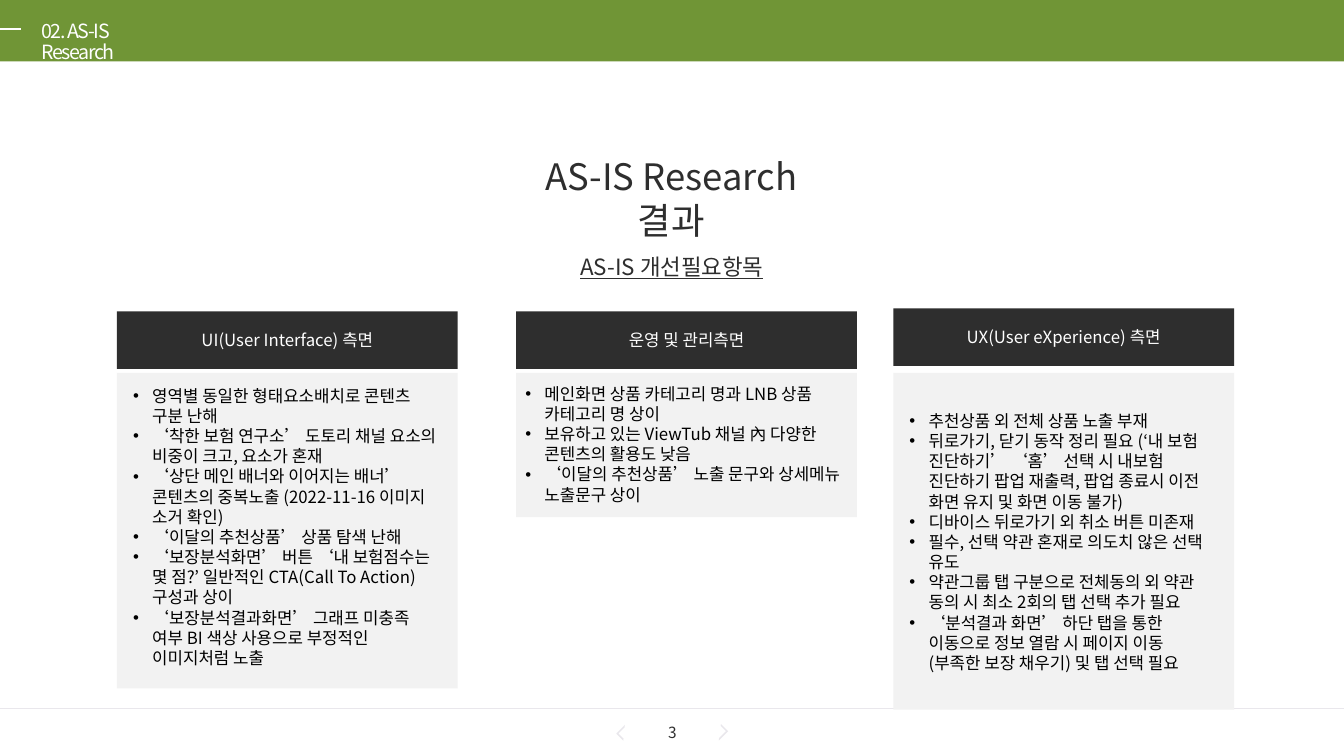
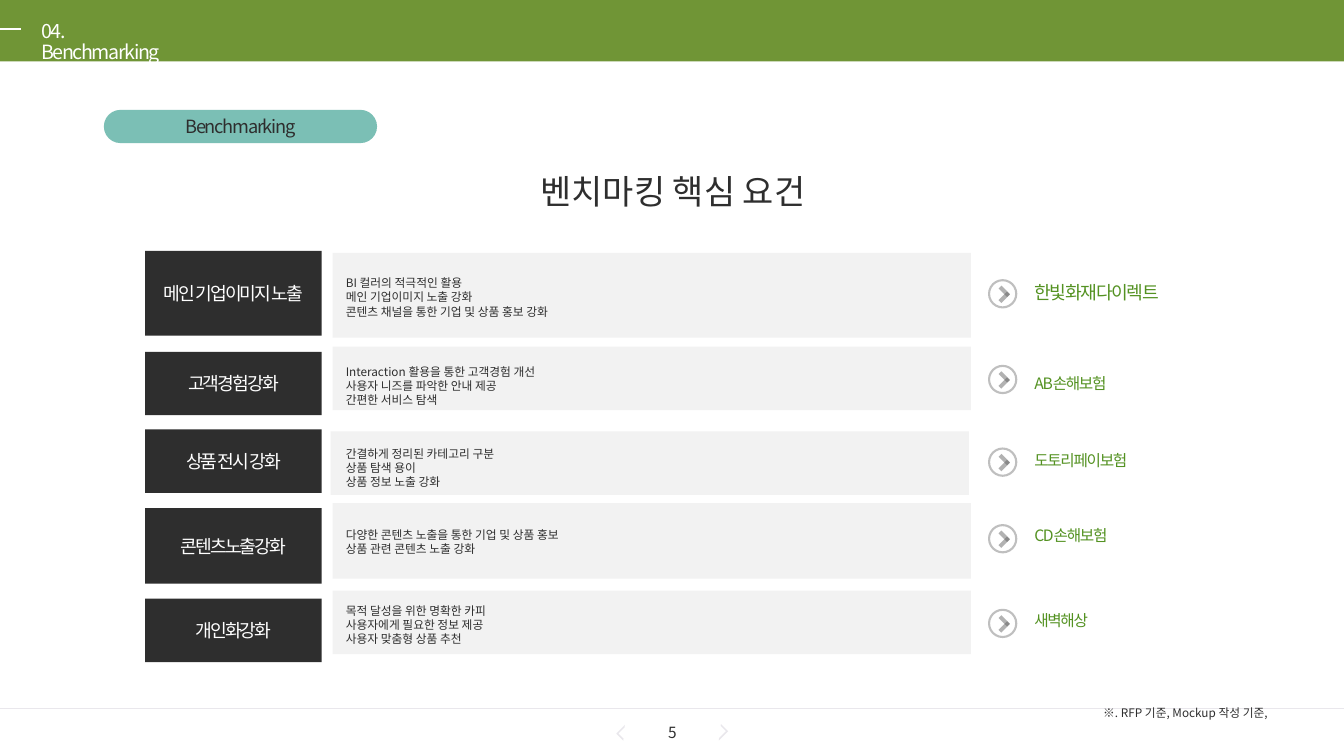
from lxml import etree
from pptx import Presentation
from pptx.dml.color import RGBColor
from pptx.enum.shapes import MSO_CONNECTOR, MSO_SHAPE
from pptx.enum.text import MSO_ANCHOR, PP_ALIGN
from pptx.oxml.ns import qn
from pptx.util import Inches, Pt

FONT = "Noto Sans CJK KR"
GREEN = RGBColor(0x70, 0x95, 0x36)
TEAL = RGBColor(0x7B, 0xBF, 0xB5)
LEAF = RGBColor(0x54, 0x92, 0x22)
DARK = RGBColor(0x2E, 0x2E, 0x2E)
BLACK = RGBColor(0, 0, 0)
WHITE = RGBColor(0xFF, 0xFF, 0xFF)
PANEL = RGBColor(0xF2, 0xF2, 0xF2)
RULE = RGBColor(0xE9, 0xE7, 0xEC)
RING = RGBColor(0xBF, 0xBF, 0xBF)
CHEVRON = RGBColor(0x59, 0x59, 0x59)

WIDTH, HEIGHT = 13.33, 7.5
TIGHT = (0.02, 0.05)
NORMAL = (0.1, 0.05)

CARDS = [
    (1.16, 3.09, 3.13, (0.14, 0.06, 3.06, 2.93), "UI(User Interface) 측면", [
        "영역별 동일한 형태요소배치로 콘텐츠 구분 난해",
        "‘착한 보험 연구소’ 도토리 채널 요소의 비중이 크고, 요소가 혼재",
        "‘상단 메인 배너와 이어지는 배너’ 콘텐츠의 중복노출 (2022-11-16 이미지 소거 확인)",
        "‘이달의 추천상품’ 상품 탐색 난해",
        "‘보장분석화면’ 버튼 ‘내 보험점수는 몇 점?’ 일반적인 CTA(Call To Action) 구성과 상이",
        "‘보장분석결과화면’ 그래프 미충족 여부 BI 색상 사용으로 부정적인 이미지처럼 노출",
    ]),
    (5.12, 3.09, 1.43, (0.07, 0.05, 3.24, 1.31), "운영 및 관리측면", [
        "메인화면 상품 카테고리 명과 LNB 상품 카테고리 명 상이",
        "보유하고 있는 ViewTub 채널 內 다양한 콘텐츠의 활용도 낮음",
        "‘이달의 추천상품’ 노출 문구와 상세메뉴 노출문구 상이",
    ]),
    (8.86, 3.06, 3.34, (0.14, 0.11, 3.06, 3.13), "UX(User eXperience) 측면", [
        "추천상품 외 전체 상품 노출 부재",
        "뒤로가기, 닫기 동작 정리 필요 (‘내 보험 진단하기’ ‘홈’ 선택 시 내보험 진단하기 팝업 재출력, "
        "팝업 종료시 이전 화면 유지 및 화면 이동 불가)",
        "디바이스 뒤로가기 외 취소 버튼 미존재",
        "필수, 선택 약관 혼재로 의도치 않은 선택 유도",
        "약관그룹 탭 구분으로 전체동의 외 약관 동의 시 최소 2회의 탭 선택 추가 필요",
        "‘분석결과 화면’ 하단 탭을 통한 이동으로 정보 열람 시 페이지 이동(부족한 보장 채우기) 및 탭 선택 필요",
    ]),
]

ROWS = [
    (2.49, 0.84, (3.3, 2.51), 2.69, 2.78, 2.74, 13, "메인 기업이미지 노출", "한빛화재다이렉트",
     ["BI 컬러의 적극적인 활용", "메인 기업이미지 노출 강화", "콘텐츠 채널을 통한 기업 및 상품 홍보 강화"]),
    (3.49, 0.63, (3.3, 3.44), 3.57, 3.63, 3.66, 11.2, "고객경험강화", "AB손해보험",
     ["Interaction 활용을 통한 고객경험 개선", "사용자 니즈를 파악한 안내 제공", "간편한 서비스 탐색"]),
    (4.26, 0.63, (3.28, 4.28), 4.38, 4.45, 4.42, 11.2, "상품 전시 강화", "도토리페이보험",
     ["간결하게 정리된 카테고리 구분", "상품 탐색 용이", "상품 정보 노출 강화"]),
    (5.04, 0.75, (3.3, 4.99), 5.19, 5.21, 5.17, 11.2, "콘텐츠노출강화", "CD손해보험",
     ["다양한 콘텐츠 노출을 통한 기업 및 상품 홍보", "상품 관련 콘텐츠 노출 강화"]),
    (5.94, 0.63, (3.3, 5.86), 5.94, 6.05, 6.01, 11.2, "개인화강화", "새벽해상",
     ["목적 달성을 위한 명확한 카피", "사용자에게 필요한 정보 제공", "사용자 맞춤형 상품 추천"]),
]


def write(sp, lines, size, color, align=PP_ALIGN.LEFT, anchor=MSO_ANCHOR.TOP,
          insets=NORMAL, spacing=0, bullets=False, underline=False, wrap=True):
    tf = sp.text_frame
    tf.word_wrap = wrap
    tf.vertical_anchor = anchor
    tf.margin_left = tf.margin_right = Inches(insets[0])
    tf.margin_top = tf.margin_bottom = Inches(insets[1])
    for i, line in enumerate(lines):
        p = tf.add_paragraph() if i else tf.paragraphs[0]
        p.alignment = align
        if bullets:
            pPr = p._p.get_or_add_pPr()
            pPr.set("marL", str(Inches(0.19)))
            pPr.set("indent", str(-Inches(0.19)))
            etree.SubElement(pPr, qn("a:buFont")).set("typeface", "Arial")
            etree.SubElement(pPr, qn("a:buChar")).set("char", "•")
        r = p.add_run()
        r.text = line
        r.font.size = Pt(size)
        r.font.name = FONT
        r.font.color.rgb = color
        if underline:
            r.font.underline = True
        rPr = r._r.get_or_add_rPr()
        etree.SubElement(rPr, qn("a:ea")).set("typeface", FONT)
        if spacing:
            rPr.set("spc", str(round(spacing * 100)))
    return tf


def add_text(s, box, lines, size, color, **style):
    sp = s.shapes.add_textbox(*map(Inches, box))
    return write(sp, lines, size, color, **style)


def add_block(s, box, fill, kind=MSO_SHAPE.RECTANGLE, rotation=0, line=None):
    sp = s.shapes.add_shape(kind, *map(Inches, box))
    sp.shadow.inherit = False
    sp.fill.solid()
    sp.fill.fore_color.rgb = fill
    sp.rotation = rotation
    if line is None:
        sp.line.fill.background()
    else:
        sp.line.color.rgb = line
        sp.line.width = Pt(1.5)
    return sp


def add_label(s, box, text, size, fill=DARK, color=WHITE, spacing=0, kind=MSO_SHAPE.RECTANGLE):
    sp = add_block(s, box, fill, kind)
    write(sp, [text], size, color, align=PP_ALIGN.CENTER, anchor=MSO_ANCHOR.MIDDLE, spacing=spacing)
    return sp


def add_rule(s, y, length, color, width):
    sp = s.shapes.add_connector(MSO_CONNECTOR.STRAIGHT, 0, Inches(y), Inches(length), Inches(y))
    sp.line.color.rgb = color
    sp.line.width = Pt(width)
    etree.SubElement(sp._element.spPr, qn("a:effectLst"))


def add_page_arrow(s, box, rotation, flip=False):
    sp = add_block(s, box, RULE, MSO_SHAPE.HALF_FRAME, rotation)
    sp.adjustments[0], sp.adjustments[1] = 0.143, 0.161
    if flip:
        sp._element.spPr.find(qn("a:xfrm")).set("flipH", "1")


def add_frame(prs, title, number):
    s = prs.slides.add_slide(prs.slide_layouts[6])
    add_rule(s, 7.03, WIDTH, RULE, 0.5)
    add_block(s, (0, 0, WIDTH, 0.61), GREEN)
    add_page_arrow(s, (6.13, 7.22, 0.12, 0.1), 315)
    add_page_arrow(s, (7.09, 7.2, 0.1, 0.13), 45, flip=True)
    add_text(s, (6.28, 7.14, 0.78, 0.26), [number], 11, DARK,
             align=PP_ALIGN.CENTER, anchor=MSO_ANCHOR.MIDDLE)
    add_rule(s, 0.29, 0.21, WHITE, 1.5)
    tf = add_text(s, (0.31, 0.16, 1.55, 0.31), [title], 14, WHITE, spacing=-1)
    tf.paragraphs[0].line_spacing = 0.9
    tf.paragraphs[0].space_before = Pt(10)
    return s


def add_card(s, left, top, height, inner, heading, points):
    panel_top = 3.7
    dx, dy, w, h = inner
    add_label(s, (left, top, 3.38, 0.57), heading, 12)
    add_block(s, (left, panel_top, 3.38, height), PANEL)
    add_text(s, (left + dx, panel_top + dy, w, h), points, 12, BLACK,
             anchor=MSO_ANCHOR.MIDDLE, insets=TIGHT, bullets=True)


def add_arrow_badge(s, left, top):
    add_block(s, (left, top, 0.27, 0.27), WHITE, MSO_SHAPE.OVAL, line=RING)
    for dy, rotation in ((0.11, 45), (0.05, 135)):
        bar = add_block(s, (left + 0.13, top + dy, 0.04, 0.12), CHEVRON, rotation=rotation)
        color = bar._element.spPr.find(qn("a:solidFill"))[0]
        etree.SubElement(color, qn("a:alpha")).set("val", "46000")


def add_row(s, top, height, panel, text_top, badge_top, name_top, name_size, label, name, lines):
    add_block(s, (*panel, 6.33, height), PANEL)
    add_label(s, (1.44, top, 1.75, height), label, 13, spacing=-1.4)
    add_text(s, (3.41, text_top, 5.62, 0.52), lines, 8.4, DARK, insets=TIGHT)
    add_arrow_badge(s, 9.81, badge_top)
    add_text(s, (10.16, name_top, 2.22, 0.3), [name], name_size, LEAF, spacing=-0.9)


def build_research(prs):
    s = add_frame(prs, "02. AS-IS Research", "3")
    add_text(s, (5.16, 1.48, 3, 0.96), ["AS-IS Research 결과"], 26, DARK, align=PP_ALIGN.CENTER)
    add_text(s, (5.58, 2.46, 2.17, 0.37), ["AS-IS 개선필요항목"], 16, DARK,
             align=PP_ALIGN.CENTER, underline=True, wrap=False)
    for card in CARDS:
        add_card(s, *card)


def build_benchmarking(prs):
    s = add_frame(prs, "04. Benchmarking", "5")
    pill = add_label(s, (1.03, 1.09, 2.71, 0.33), "Benchmarking", 13, TEAL, DARK, -0.9,
                     MSO_SHAPE.ROUNDED_RECTANGLE)
    pill.adjustments[0] = 0.5
    add_text(s, (5.1, 1.64, 3.15, 0.51), ["벤치마킹 핵심 요건"], 24.2, DARK,
             align=PP_ALIGN.CENTER, wrap=False)
    for row in ROWS:
        add_row(s, *row)
    add_text(s, (7.98, 6.95, 4.64, 0.24), ["※. RFP 기준, Mockup 작성 기준, "], 8.4, DARK,
             align=PP_ALIGN.RIGHT, insets=TIGHT)


def main():
    prs = Presentation()
    prs.slide_width = Inches(WIDTH)
    prs.slide_height = Inches(HEIGHT)
    build_research(prs)
    build_benchmarking(prs)
    prs.save("out.pptx")


if __name__ == "__main__":
    main()
